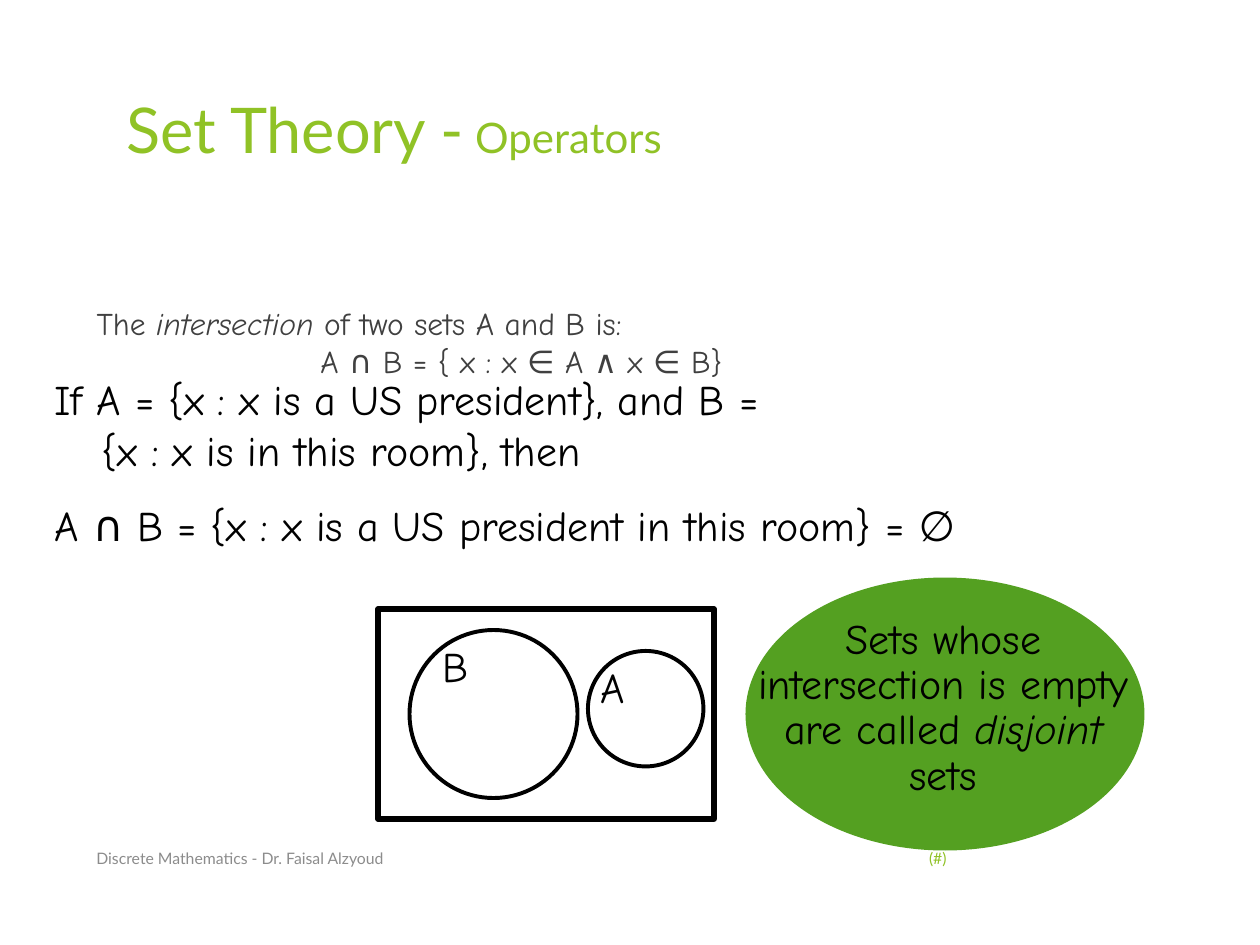
from pptx import Presentation
from pptx.dml.color import RGBColor
from pptx.enum import shapes, text
from pptx.oxml import xmlchemy
from pptx.util import Pt

LIME = RGBColor(0x90, 0xC2, 0x26)
GREEN = RGBColor(0x54, 0xA0, 0x21)
BLACK = RGBColor(0, 0, 0)
CHARCOAL = RGBColor(0x40, 0x40, 0x40)
GREY = RGBColor(0x8C, 0x8C, 0x8C)

TITLE = {"name": "Lato", "size": Pt(36), "color": LIME}
BODY = {"name": "Comic Neue", "size": Pt(18), "color": CHARCOAL}
NOTE = {"name": "Comic Neue", "size": Pt(24), "color": BLACK}
FOOTER = {"name": "Lato", "size": Pt(9), "color": GREY}
HANGING = (27, -27)


def place(shape, box):
    for name, value in zip(("left", "top", "width", "height"), box):
        setattr(shape, name, Pt(value))


def prepare(frame, anchor=text.MSO_ANCHOR.TOP):
    frame.word_wrap = True
    frame.auto_size = text.MSO_AUTO_SIZE.NONE
    frame.vertical_anchor = anchor


def write(para, spans, style, align=text.PP_ALIGN.LEFT, indent=(0, 0), spacing=1.0):
    properties = para._p.get_or_add_pPr()
    properties.set("marL", str(Pt(indent[0])))
    properties.set("indent", str(Pt(indent[1])))
    properties.append(xmlchemy.OxmlElement("a:buNone"))
    layout = {"alignment": align, "line_spacing": spacing, "space_before": Pt(0)}
    for name, value in layout.items():
        setattr(para, name, value)
    for words, changes in spans:
        span = para.add_run()
        span.text = words
        for name, value in {**style, **changes}.items():
            if name == "color":
                span.font.color.rgb = value
            else:
                setattr(span.font, name, value)


def add_text(parent, box, spans, style, anchor=text.MSO_ANCHOR.TOP, **layout):
    area = parent.add_textbox(*map(Pt, box))
    prepare(area.text_frame, anchor)
    write(area.text_frame.paragraphs[0], spans, style, **layout)


def add_outline(parent, kind, box, weight):
    shape = parent.add_shape(kind, *map(Pt, box))
    shape.shadow.inherit = False
    shape.fill.background()
    shape.line.color.rgb = BLACK
    shape.line.width = Pt(weight)


def add_heading(page, box):
    title = page.shapes.title
    place(title, box)
    prepare(title.text_frame)
    spans = [("Set Theory -", {}), (" Operators", {"size": Pt(24)})]
    write(title.text_frame.paragraphs[0], spans, TITLE, indent=(17, 0))


def add_definition(page, box):
    body = page.placeholders[1]
    place(body, box)
    frame = body.text_frame
    prepare(frame)
    spans = [("The ", {}), ("intersection", {"italic": True}),
             (" of two sets A and B is:", {})]
    write(frame.paragraphs[0], spans, BODY, indent=HANGING)
    write(frame.add_paragraph(), [("A ∩ B = { x : x ∈ A ∧ x ∈ B}", {})], BODY,
          align=text.PP_ALIGN.CENTER, indent=HANGING)


def add_footer(page, box):
    left, top, width, height = box
    middle = text.MSO_ANCHOR.MIDDLE
    add_text(page.shapes, (left, top, 364, height),
             [("Discrete Mathematics - Dr. Faisal Alzyoud", {})], FOOTER, middle)
    add_text(page.shapes, (left + width - 40, top, 40, height),
             [("(#)", {"color": LIME})], FOOTER, middle, align=text.PP_ALIGN.RIGHT)


def add_example(page, box):
    left, top, width, height = box
    lines = [(0, 420, 66, "If A = {x : x is a US president}, and B = "
                          "{x : x is in this room}, then"),
             (72, width, 42, "A ∩ B = {x : x is a US president in this room} = ∅")]
    for offset, line_width, line_height, words in lines:
        add_text(page.shapes, (left, top + offset, line_width, line_height),
                 [(words, {})], NOTE, indent=HANGING)


def add_venn(page, box):
    left, top, width, height = box
    group = page.shapes.add_group_shape().shapes
    add_outline(group, shapes.MSO_SHAPE.RECTANGLE, box, 3)
    sets = [("B", 18, 12, 96, (30, 18, 36, 42)), ("A", 120, 24, 66, (120, 29.5, 30, 36))]
    for name, x, y, size, (label_x, label_y, label_width, label_height) in sets:
        add_outline(group, shapes.MSO_SHAPE.OVAL, (left + x, top + y, size, size), 2.25)
        add_text(group, (left + label_x, top + label_y, label_width, label_height),
                 [(name, {})], NOTE, indent=HANGING, spacing=0.9)


def add_callout(page, box):
    left, top, width, height = box
    group = page.shapes.add_group_shape().shapes
    oval = group.add_shape(shapes.MSO_SHAPE.OVAL, *map(Pt, box))
    oval.shadow.inherit = False
    oval.fill.solid()
    oval.fill.fore_color.rgb = GREEN
    oval.line.fill.background()
    spans = [("Sets whose intersection is empty are called ", {}),
             ("disjoint", {"italic": True}), (" sets", {})]
    add_text(group, (left, top + 19.5, width - 2, 111), spans, NOTE,
             align=text.PP_ALIGN.CENTER, spacing=0.9)


def main():
    deck = Presentation()
    deck.slide_width, deck.slide_height = Pt(720), Pt(540)
    page = deck.slides.add_slide(deck.slide_layouts[1])
    add_heading(page, (48, 48, 500, 104))
    add_definition(page, (48, 170, 500, 305))
    add_footer(page, (48, 476, 500, 28.8))
    add_example(page, (24, 210, 576, 114))
    add_venn(page, (216, 348, 192, 120))
    add_callout(page, (426, 330, 228, 156))
    deck.save("out.pptx")


if __name__ == "__main__":
    main()
